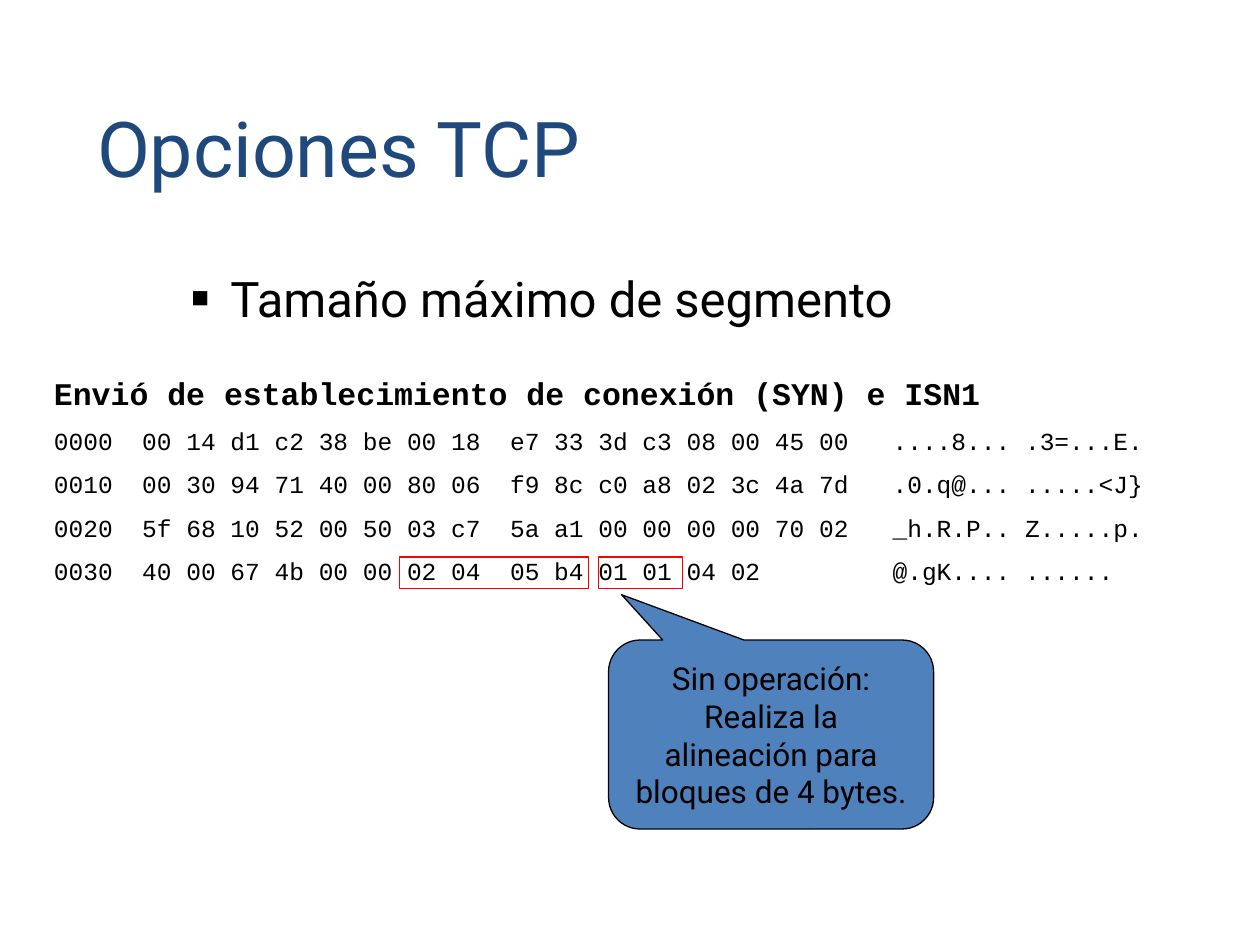
from lxml.etree import SubElement
from pptx import Presentation
from pptx.dml.color import RGBColor
from pptx.enum.shapes import MSO_SHAPE
from pptx.enum.text import MSO_ANCHOR, PP_ALIGN
from pptx.oxml.ns import qn
from pptx.util import Inches, Pt

TITLE_BLUE, BLACK, RED, CALLOUT_BLUE = "1F497D", "000000", "FF0000", "4F81BD"
SANS, MONO = "Roboto", "Courier New"

HEX_DUMP = [
    "0000  00 14 d1 c2 38 be 00 18  e7 33 3d c3 08 00 45 00   ....8... .3=...E.",
    "0010  00 30 94 71 40 00 80 06  f9 8c c0 a8 02 3c 4a 7d   .0.q@... .....<J}",
    "0020  5f 68 10 52 00 50 03 c7  5a a1 00 00 00 00 70 02   _h.R.P.. Z.....p.",
    "0030  40 00 67 4b 00 00 02 04  05 b4 01 01 04 02         @.gK.... ......",
]


def color(hex_string):
    return RGBColor.from_string(hex_string)


def write(paragraph, text, *, size, font=SANS, fill=BLACK, bold=False,
          align=PP_ALIGN.LEFT, before=0):
    paragraph.alignment = align
    paragraph.space_before = Pt(before)
    run = paragraph.add_run()
    run.text = text
    run.font.name = font
    run.font.size = Pt(size)
    run.font.bold = bold
    run.font.color.rgb = color(fill)


def add_square_bullet(paragraph, margin, indent):
    properties = paragraph._p.get_or_add_pPr()
    properties.set("marL", str(Inches(margin)))
    properties.set("indent", str(Inches(indent)))
    bullet_color = SubElement(properties, qn("a:buClr"))
    SubElement(bullet_color, qn("a:srgbClr"), val=BLACK)
    SubElement(properties, qn("a:buSzPct"), val="60000")
    SubElement(properties, qn("a:buFont"), typeface="Arial")
    SubElement(properties, qn("a:buChar"), char="■")


def add_text_box(slide, left, top, width, height):
    box = slide.shapes.add_textbox(*map(Inches, (left, top, width, height)))
    box.text_frame.word_wrap = True
    return box.text_frame


def add_outlined_shape(slide, kind, left, top, width, height, line, fill=None):
    shape = slide.shapes.add_shape(kind, *map(Inches, (left, top, width, height)))
    shape.shadow.inherit = False
    shape.line.color.rgb = color(line)
    shape.line.width = Pt(0.75)
    if fill:
        shape.fill.solid()
        shape.fill.fore_color.rgb = color(fill)
    else:
        shape.fill.background()
    return shape


def set_title(slide, text):
    title = slide.shapes.title
    title.left, title.top, title.width, title.height = map(
        Inches, (0.67, 0.33, 8.5, 1.25))
    title.text_frame.vertical_anchor = MSO_ANCHOR.BOTTOM
    write(title.text_frame.paragraphs[0], text, size=44, fill=TITLE_BLUE)


def add_bullet_text(slide, text):
    paragraph = add_text_box(slide, 0.92, 2.08, 8.5, 4.5).paragraphs[0]
    add_square_bullet(paragraph, 0.81, -0.31)
    write(paragraph, text, size=28)


def add_hex_dump(slide, heading, lines):
    frame = add_text_box(slide, 0.33, 2.92, 9.5, 1.8)
    write(frame.paragraphs[0], heading, size=18, font=MONO, bold=True)
    for line in lines:
        write(frame.add_paragraph(), line, size=14, font=MONO, before=8)


def add_callout(slide, text):
    callout = add_outlined_shape(slide, MSO_SHAPE.ROUNDED_RECTANGULAR_CALLOUT,
                                 4.83, 5.08, 2.58, 1.5, BLACK, CALLOUT_BLUE)
    # Tail tip as shares of the callout's size, measured from its centre
    callout.adjustments[0] = -0.46
    callout.adjustments[1] = -0.74
    frame = callout.text_frame
    frame.word_wrap = True
    frame.vertical_anchor = MSO_ANCHOR.MIDDLE
    write(frame.paragraphs[0], text, size=18, align=PP_ALIGN.CENTER)


def main():
    presentation = Presentation()
    presentation.slide_width, presentation.slide_height = Inches(10), Inches(7.5)
    slide = presentation.slides.add_slide(presentation.slide_layouts[5])

    set_title(slide, "Opciones TCP")
    add_bullet_text(slide, "Tamaño máximo de segmento")
    add_hex_dump(slide, "Envió de establecimiento de conexión (SYN) e ISN1", HEX_DUMP)

    # Frames around the segment size option and the no-operation bytes
    for left, width in ((3.17, 1.5), (4.75, 0.67)):
        add_outlined_shape(slide, MSO_SHAPE.RECTANGLE, left, 4.42, width, 0.25, RED)
    add_callout(slide, "Sin operación: Realiza la alineación para bloques de 4 bytes.")

    presentation.save("out.pptx")


if __name__ == "__main__":
    main()
